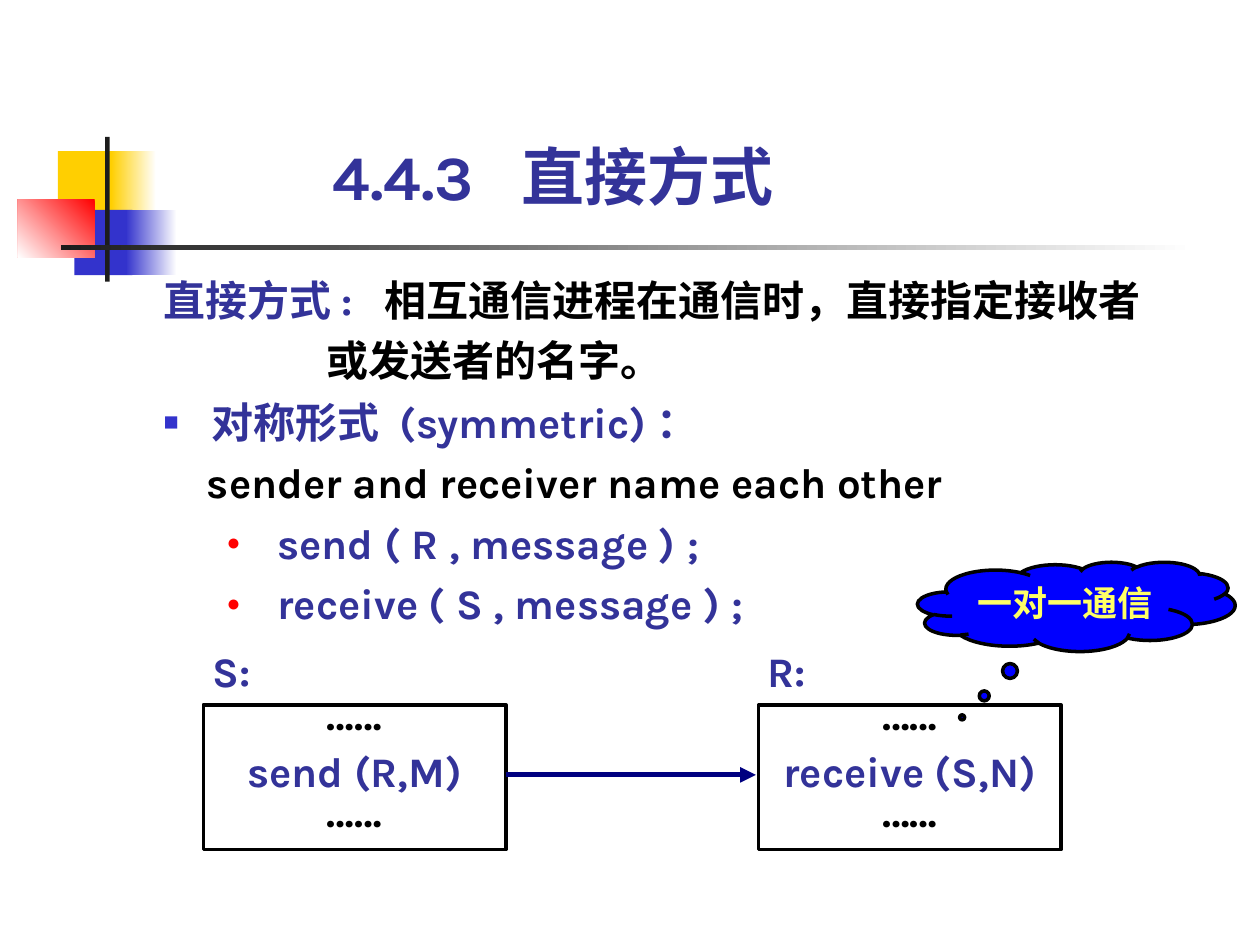
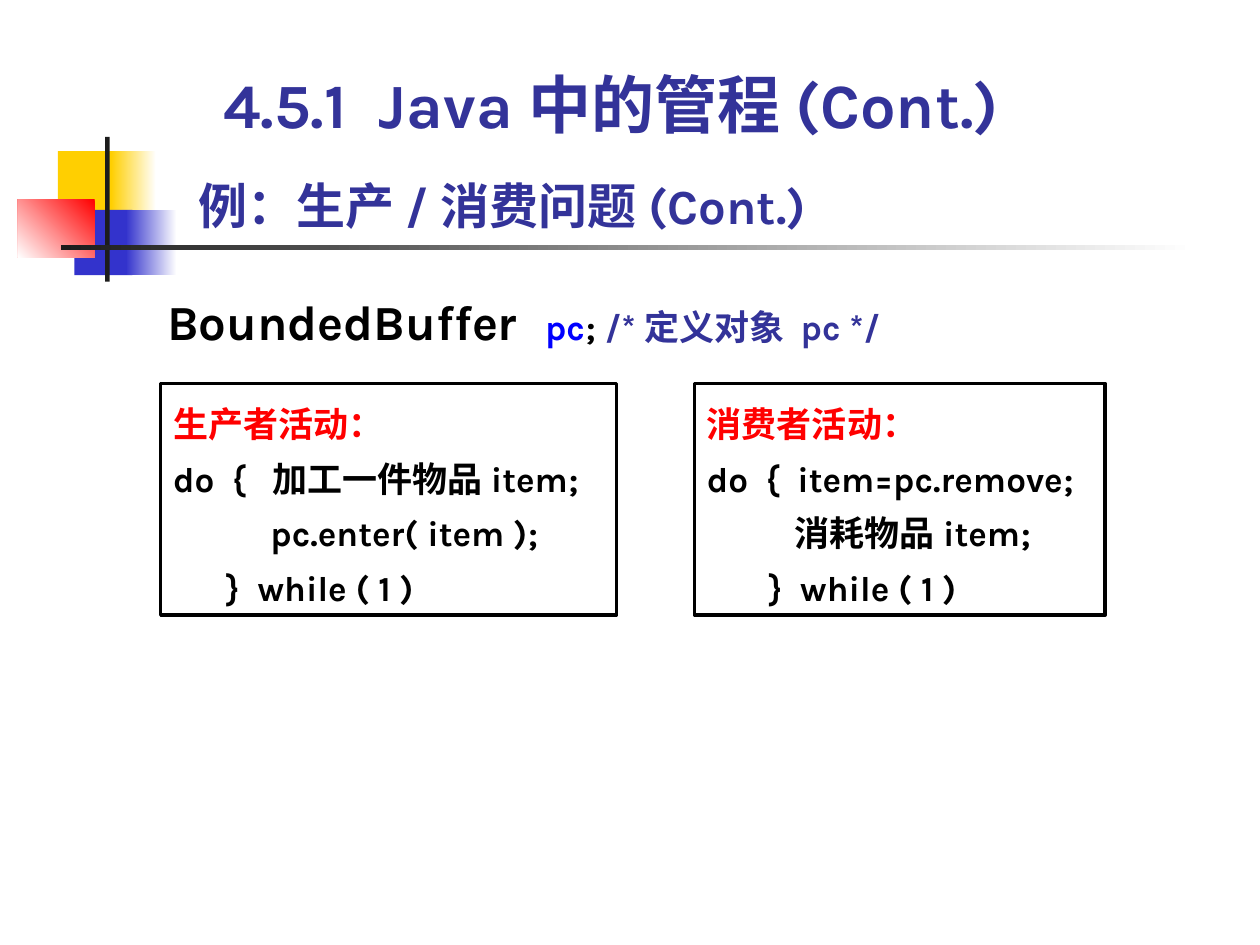
from dataclasses import dataclass

from lxml import etree
from pptx import Presentation
from pptx.dml.color import RGBColor
from pptx.enum import shapes, text
from pptx.oxml import ns
from pptx.util import Cm, Pt


@dataclass(frozen=True)
class Theme:
    font: str = "Karla"
    ink: str = "000000"
    accent: str = "333399"
    blue: str = "3333CC"
    bright: str = "0000FF"
    navy: str = "000080"
    red: str = "FF0000"
    yellow: str = "FFCF01"
    lemon: str = "FFFF66"
    white: str = "FFFFFF"
    dark: str = "1C1C1C"
    title: int = 36
    subtitle: int = 28
    body: int = 24
    code: int = 20


T = Theme()


@dataclass
class Para:
    """One paragraph; runs are (text, colour[, size]) and lengths are in cm."""
    runs: list
    size: int = T.body
    spacing: float = 1.0
    before: int = 0
    margin: float = 0
    indent: float = 0
    tab: float = 0
    bullet: tuple = ()
    level: int = 0
    align: text.PP_ALIGN = text.PP_ALIGN.LEFT


# Content: boxes are (left, top, width, height) in cm
MOTIF = [
    ((1.17, 3.05, 1.22, 1.32), [T.yellow], 0),
    ((2.24, 3.05, 0.91, 1.32), [T.white, T.yellow], 180),
    ((1.5, 4.23, 1.17, 1.32), [T.blue], 0),
    ((2.54, 4.23, 1.02, 1.32), [T.white, T.blue], 180),
    ((0.36, 4.02, 1.55, 1.17), [T.red, T.white], 225),
    ((2.12, 2.76, 0.09, 2.92), [T.dark], 0),
    ((1.23, 4.94, 22.86, 0.1), [T.white, T.dark], 180),
]

DIRECT_TITLE = Para([("4.4.3\t直接方式", T.accent)], T.title, tab=3.81)
DEFINITION = [
    Para([("直接方式:  ", T.accent), ("相互通信进程在通信时，直接指定接收者", T.ink)],
         spacing=1.2),
    Para([("或发送者的名字。", T.ink)], spacing=1.2, margin=3.28),
]
SQUARE, DOT = ("■", T.blue, 60), ("●", T.red, 55)
SYMMETRIC = [
    Para([("对称形式 (symmetric)：", T.accent)], spacing=1.2,
         margin=0.97, indent=-0.97, bullet=SQUARE),
    Para([("sender and receiver name each other", T.ink)], spacing=1.2, margin=0.87),
] + [
    Para([(call, T.accent)], spacing=1.2, margin=2.29, indent=-1.02,
         bullet=DOT, level=1)
    for call in ("send ( R , message ) ;", "receive ( S , message ) ;")
]
PROCESSES = [("S:", "send (R,M)", 4.1), ("R:", "receive (S,N)", 15.29)]
PROCESS_TOP, PROCESS_W, PROCESS_H = 14.21, 6.1, 2.92
CLOUD = "一对一通信"

JAVA_HEADING = Para([("4.5.1  Java中的管程(Cont.)", T.accent)], T.title)
EXAMPLE_TITLE = Para([("例：生产/消费问题(Cont.)", T.accent)], T.subtitle)
DECLARATION = Para([("BoundedBuffer", T.ink, T.subtitle), ("\t", T.ink),
                    ("pc", T.bright), ("; ", T.ink), ("/*定义对象 pc */", T.accent)],
                   T.code, 1.1, tab=7.62)
# box left, box width, heading, code lines
ACTIVITIES = [
    (3.24, 9.19, "生产者活动：", [
        "do  {  加工一件物品item;",
        "           pc.enter( item );",
        "      }  while ( 1 )"]),
    (14.0, 8.28, "消费者活动：", [
        "do  {  item=pc.remove;",
        "           消耗物品item;",
        "       }  while ( 1 )"]),
]


def rgb(color):
    return RGBColor.from_string(color)


def add_xml(parent, tag, **attrs):
    return etree.SubElement(parent, ns.qn(tag), **attrs)


def format_para(p, para):
    pPr = p._p.get_or_add_pPr()
    pPr.set("marL", str(Cm(para.margin)))
    pPr.set("indent", str(Cm(para.indent)))
    if para.bullet:
        char, color, percent = para.bullet
        add_xml(add_xml(pPr, "a:buClr"), "a:srgbClr", val=color)
        add_xml(pPr, "a:buSzPct", val=str(percent * 1000))
        add_xml(pPr, "a:buChar", char=char)
    else:
        add_xml(pPr, "a:buNone")
    if para.tab:
        add_xml(add_xml(pPr, "a:tabLst"), "a:tab", pos=str(Cm(para.tab)), algn="l")
    p.level, p.alignment = para.level, para.align
    p.line_spacing, p.space_before, p.space_after = para.spacing, Pt(para.before), Pt(0)
    p.font.name, p.font.size, p.font.bold = T.font, Pt(para.size), True
    same_color = len({run[1] for run in para.runs}) == 1
    if same_color:
        p.font.color.rgb = rgb(para.runs[0][1])
    for content, color, *size in para.runs:
        r = p.add_run()
        r.text = content
        if not same_color:
            r.font.color.rgb = rgb(color)
        if size:
            r.font.size = Pt(size[0])


def write(sp, paras, insets=(0, 0, 0, 0), anchor=text.MSO_ANCHOR.TOP):
    tf = sp.text_frame
    tf.word_wrap, tf.auto_size = True, text.MSO_AUTO_SIZE.NONE
    tf.vertical_anchor = anchor
    tf.margin_left, tf.margin_top, tf.margin_right, tf.margin_bottom = map(Cm, insets)
    for i, para in enumerate(paras):
        format_para(tf.add_paragraph() if i else tf.paragraphs[0], para)


def place(sp, box):
    sp.left, sp.top, sp.width, sp.height = map(Cm, box)
    return sp


def add_text(s, box, paras, **kw):
    write(s.shapes.add_textbox(*map(Cm, box)), paras, **kw)


def add_shape(s, box, fill=None, line=None, kind=shapes.MSO_SHAPE.RECTANGLE):
    sp = s.shapes.add_shape(kind, *map(Cm, box))
    sp.shadow.inherit = False
    if fill:
        sp.fill.solid()
        sp.fill.fore_color.rgb = rgb(fill)
    else:
        sp.fill.background()
    if line:
        sp.line.color.rgb, sp.line.width = rgb(line), Pt(2)
    else:
        sp.line.fill.background()
    return sp


def add_motif(prs, s):
    """Draw the corner motif and rule, then move them behind everything on the master."""
    tree = prs.slide_master.shapes._spTree
    for i, (box, colors, angle) in enumerate(MOTIF):
        sp = add_shape(s, box, colors[0])
        if len(colors) == 2:
            sp.fill.gradient()
            sp.fill.gradient_angle = angle
            for stop, color in zip(sp.fill.gradient_stops, colors):
                stop.color.rgb = rgb(color)
        tree.insert(2 + i, sp._element)


def add_arrow(s, x1, x2, y):
    line = s.shapes.add_connector(shapes.MSO_CONNECTOR.STRAIGHT, *map(Cm, (x1, y, x2, y)))
    line.line.color.rgb, line.line.width = rgb(T.navy), Pt(3)
    add_xml(line.line._get_or_add_ln(), "a:tailEnd", type="triangle")
    add_xml(line._element.spPr, "a:effectLst")


def build_direct(s):
    write(place(s.shapes.title, (6.71, 2.77, 9.8, 1.52)), [DIRECT_TITLE],
          anchor=text.MSO_ANCHOR.BOTTOM)
    write(place(s.placeholders[1], (3.3, 7.79, 18.39, 5.54)), SYMMETRIC)
    add_text(s, (3.3, 5.33, 19.9, 2.44), DEFINITION)
    center = dict(spacing=0.8, align=text.PP_ALIGN.CENTER)
    for label, call, left in PROCESSES:
        add_text(s, (left + 0.18, PROCESS_TOP - 1, 1.07, 0.81),
                 [Para([(label, T.accent)], spacing=0.8)])
        sp = add_shape(s, (left, PROCESS_TOP, PROCESS_W, PROCESS_H), T.white, T.ink)
        write(sp, [Para([("……", T.ink)], **center),
                   Para([(call, T.accent)], before=9, **center),
                   Para([("……", T.ink)], **center)],
              insets=(0, 0, 0, 0.41), anchor=text.MSO_ANCHOR.MIDDLE)
    add_arrow(s, PROCESSES[0][2] + PROCESS_W, PROCESSES[1][2] - 0.05, 15.62)
    cloud = add_shape(s, (18.5, 11.33, 6.4, 1.8), T.bright, T.ink,
                      shapes.MSO_SHAPE.CLOUD_CALLOUT)
    cloud.adjustments[0], cloud.adjustments[1] = -0.36, 1.24
    write(cloud, [Para([(CLOUD, T.lemon)], T.code, align=text.PP_ALIGN.CENTER)],
          insets=(0.25, 0.13, 0.25, 0.13))


def build_java(s):
    insets = (0.25, 0.13, 0.25, 0.13)
    add_text(s, (4.5, 0.85, 17.5, 2), [JAVA_HEADING], anchor=text.MSO_ANCHOR.BOTTOM)
    write(place(s.shapes.title, (4.0, 3.53, 13.1, 1.19)), [EXAMPLE_TITLE],
          anchor=text.MSO_ANCHOR.BOTTOM)
    add_text(s, (3.12, 5.62, 15.19, 1.57), [DECLARATION], insets=insets)
    for left, width, heading, code in ACTIVITIES:
        paras = [Para([(heading, T.red)], T.code, 1.3)]
        paras += [Para([(line, T.ink)], T.code, 1.3) for line in code]
        write(add_shape(s, (left, 7.73, width, 4.67), line=T.ink), paras, insets=insets)


def main():
    prs = Presentation()
    prs.slide_width, prs.slide_height = Cm(25.4), Cm(19.05)
    direct = prs.slides.add_slide(prs.slide_layouts[1])
    java = prs.slides.add_slide(prs.slide_layouts[5])
    add_motif(prs, direct)
    build_direct(direct)
    build_java(java)
    prs.save("out.pptx")


if __name__ == "__main__":
    main()
